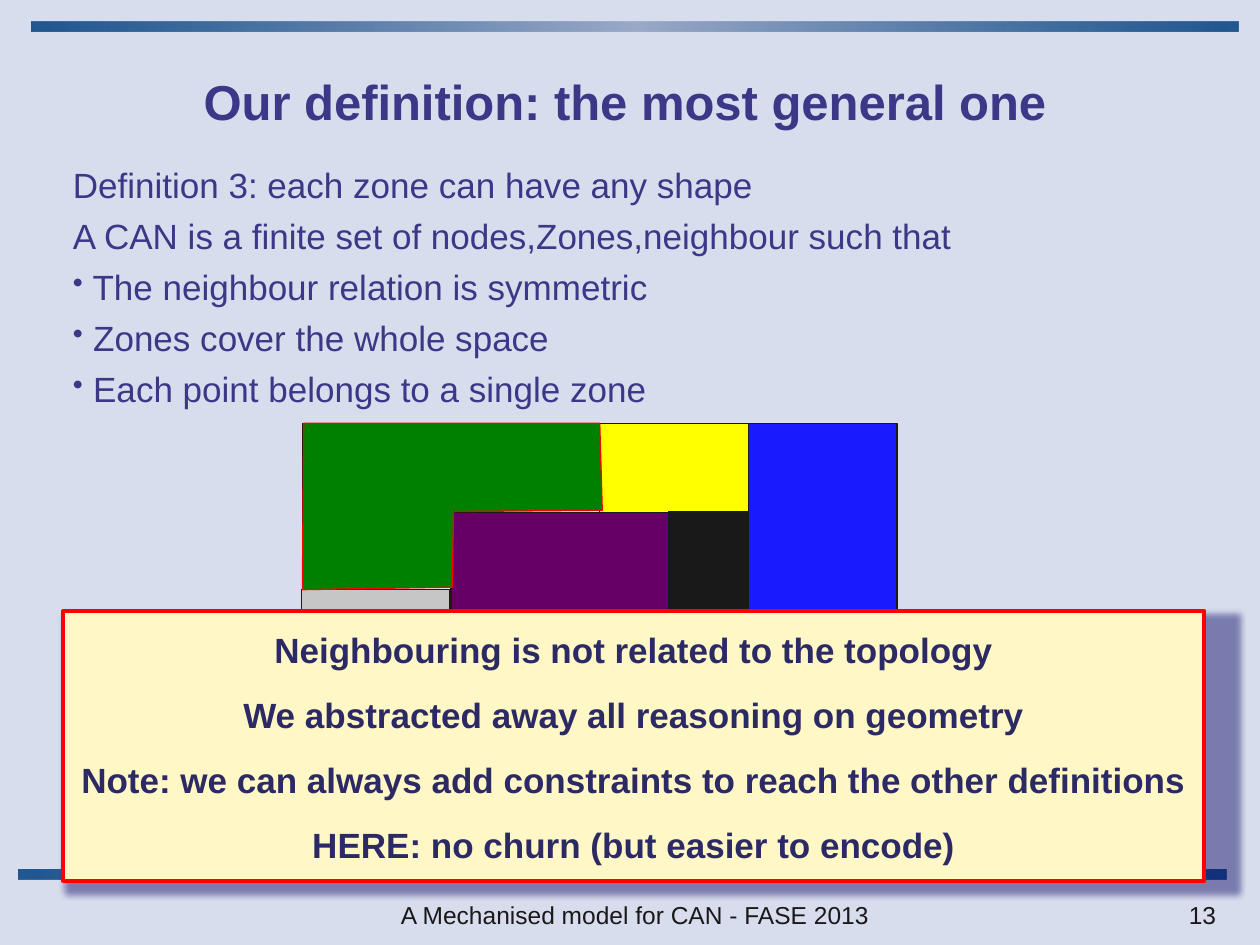
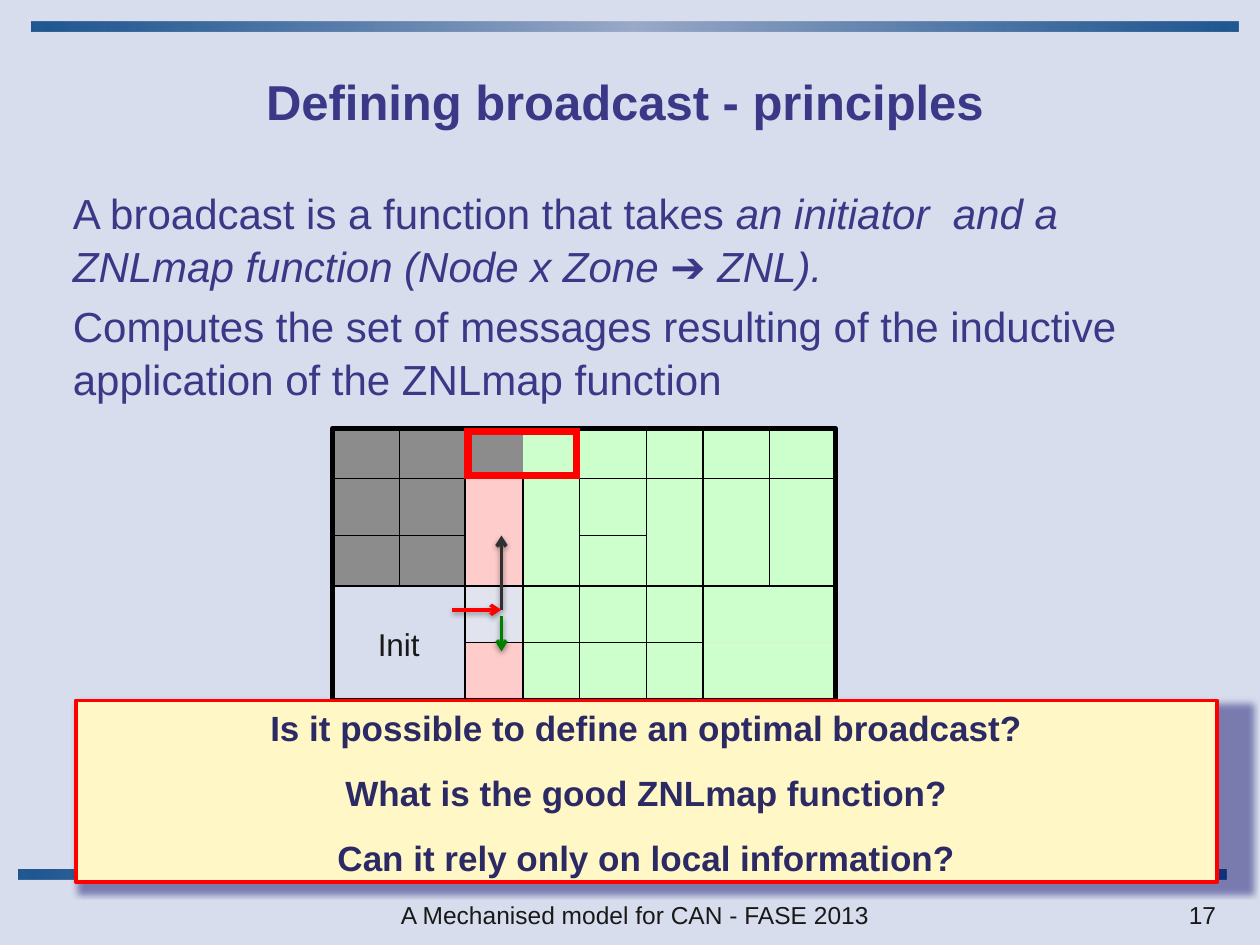
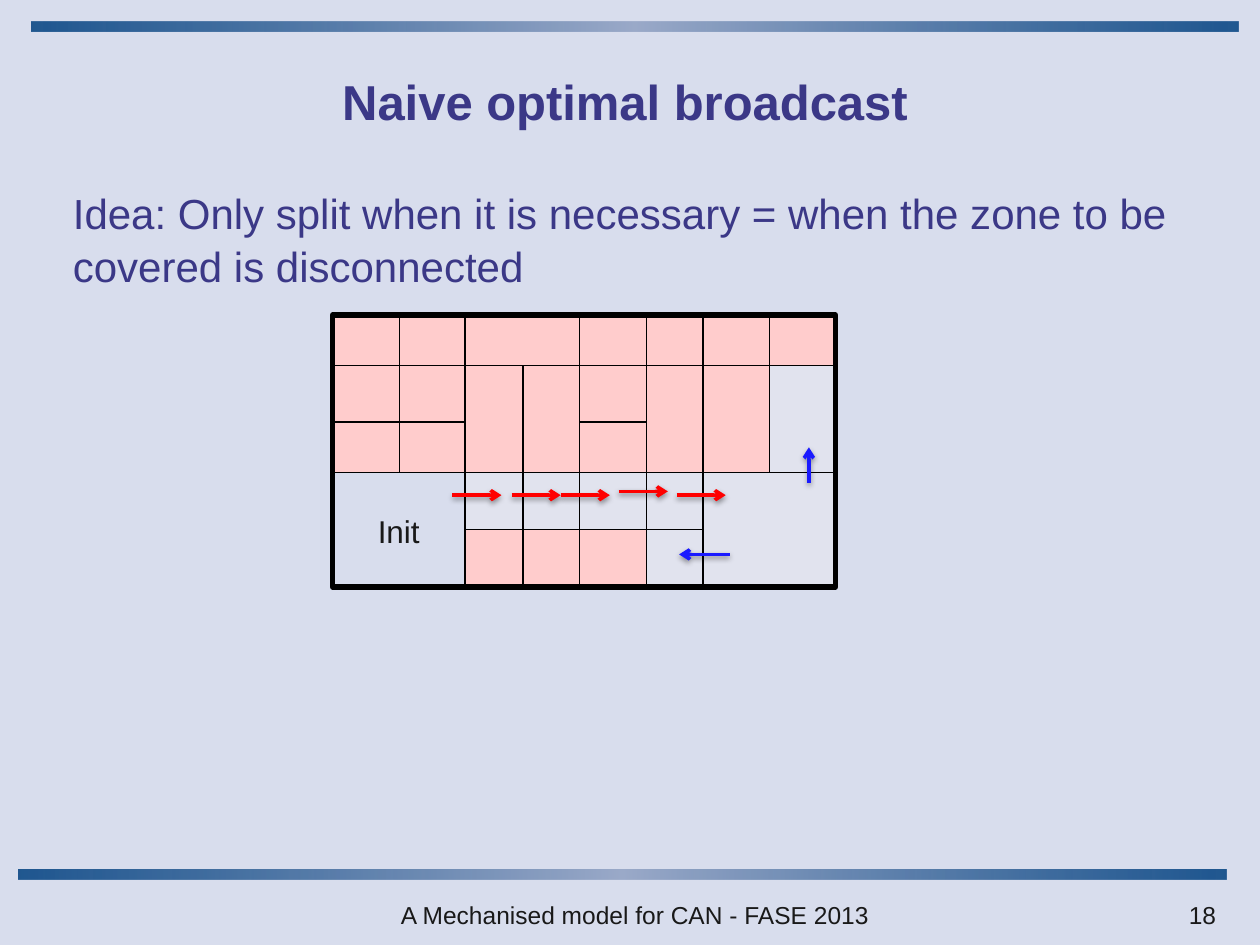
from dataclasses import dataclass

from lxml import etree
from pptx import Presentation
from pptx import util as u
from pptx.dml.color import RGBColor
from pptx.enum import shapes, text
from pptx.oxml import parse_xml
from pptx.oxml.ns import nsdecls, qn


@dataclass(frozen=True)
class Theme:
    font: str = "Arial"
    background: str = "D8DDED"
    band_edge: str = "004080"
    band_middle: str = "9BAAC9"
    heading: str = "3B3887"
    ink: str = "191919"
    callout_ink: str = "2C2A65"
    callout_fill: str = "FFF7C5"
    red: str = "FF0000"
    blue: str = "1A1AFF"
    green: str = "008000"
    charcoal: str = "303030"
    black: str = "000000"
    pending: str = "FFCCCC"
    reached: str = "E1E3EE"
    upper_area: str = "8C8C8C"
    lower_area: str = "CCFFCC"
    title_size: int = 28
    body_size: int = 24
    small_body_size: int = 20
    label_size: int = 18
    footer_size: int = 14
    line_spacing: float = 1.05


@dataclass(frozen=True)
class Shadow:
    color: str
    opacity: int
    blur: float
    distance: float
    angle: int
    scale: float = 100


THEME = Theme()
CALLOUT_SHADOW = Shadow("000060", 43, 4, 3, 45, 102.5)
ARROW_SHADOW = Shadow("000000", 38, 3.1, 1.6, 90)

COLUMNS = [2.64, 3.17, 3.69, 4.15, 4.6, 5.13, 5.58, 6.11, 6.63]
ROWS = [0, 0.4, 0.85, 1.25, 1.7, 2.16]
VERTICAL_BORDERS = [(1, 0, 3), (2, 0, 5), (3, 1, 5), (4, 0, 5), (5, 0, 5), (6, 0, 5), (7, 0, 3)]
HORIZONTAL_BORDERS = [(1, 0, 8), (2, 0, 2), (2, 4, 5), (3, 0, 8), (4, 2, 6)]


def rgb(color):
    return RGBColor.from_string(color)


def inches(values):
    return [u.Inches(value) for value in values]


def write(frame, lines, *, size, color, bold=False, align=text.PP_ALIGN.LEFT,
          before=0, after=0, bullet=None, wrap=True):
    frame.word_wrap = wrap
    for line in lines:
        paragraph = frame.paragraphs[-1]
        if paragraph.runs:
            paragraph = frame.add_paragraph()
        paragraph.alignment = align
        paragraph.line_spacing = THEME.line_spacing
        paragraph.space_before = u.Pt(before)
        paragraph.space_after = u.Pt(after)
        parts = (line,) if isinstance(line, str) else line
        for position, part in enumerate(parts):
            run = paragraph.add_run()
            run.text = part
            run.font.name = THEME.font
            run.font.size = u.Pt(size)
            run.font.bold = bold
            run.font.italic = position % 2 == 1
            run.font.color.rgb = rgb(color)
        if bullet:
            add_bullet(paragraph, bullet, color)


def add_bullet(paragraph, mark, color):
    properties = paragraph._p.get_or_add_pPr()
    properties.set("marL", "0")
    properties.set("indent", "0")
    tint = etree.SubElement(properties, qn("a:buClr"))
    etree.SubElement(tint, qn("a:srgbClr"), val=color)
    etree.SubElement(properties, qn("a:buSzPct"), val="85000")
    etree.SubElement(properties, qn("a:buChar"), char=mark)


def set_shadow(shape, shadow=None):
    properties = shape._element.spPr
    effects = properties.find(qn("a:effectLst"))
    if effects is None:
        effects = etree.SubElement(properties, qn("a:effectLst"))
    if shadow:
        scale = str(int(shadow.scale * 1000))
        outer = etree.SubElement(
            effects, qn("a:outerShdw"), blurRad=str(u.Pt(shadow.blur)),
            dist=str(u.Pt(shadow.distance)), dir=str(shadow.angle * 60000),
            sx=scale, sy=scale, algn="tl", rotWithShape="0")
        tint = etree.SubElement(outer, qn("a:srgbClr"), val=shadow.color)
        etree.SubElement(tint, qn("a:alpha"), val=str(shadow.opacity * 1000))


def paint(shape, fill=None, line=None, width=0.75):
    shape.shadow.inherit = False
    if fill:
        shape.fill.solid()
        shape.fill.fore_color.rgb = rgb(fill)
    else:
        shape.fill.background()
    if line:
        shape.line.color.rgb = rgb(line)
        shape.line.width = u.Pt(width)
    else:
        shape.line.fill.background()


def add_box(slide, at, fill=None, line=None, width=0.75, kind=shapes.MSO_SHAPE.RECTANGLE):
    box = slide.shapes.add_shape(kind, *inches(at))
    paint(box, fill, line, width)
    return box


def add_line(slide, start, end, color, width=0.75, arrow=False):
    line = slide.shapes.add_connector(shapes.MSO_CONNECTOR.STRAIGHT, *inches(start + end))
    line.line.color.rgb = rgb(color)
    line.line.width = u.Pt(width)
    if arrow:
        etree.SubElement(line._element.spPr.find(qn("a:ln")), qn("a:tailEnd"), type="arrow")
    set_shadow(line, ARROW_SHADOW if arrow else None)


def add_arrow(slide, start, end, color):
    add_line(slide, start, end, color, width=2, arrow=True)


def add_text(slide, at, lines, **form):
    frame = slide.shapes.add_textbox(*inches(at)).text_frame
    write(frame, lines, **form)
    return frame


def add_band(slide, left, top):
    band = slide.shapes.add_shape(shapes.MSO_SHAPE.RECTANGLE, *inches((left, top, 9.58, 0.08)))
    band.shadow.inherit = False
    band.line.fill.background()
    edge = f'<a:srgbClr val="{THEME.band_edge}"><a:alpha val="85000"/></a:srgbClr>'
    middle = f'<a:srgbClr val="{THEME.band_middle}"/>'
    stops = "".join(f'<a:gs pos="{position}">{color}</a:gs>'
                    for position, color in ((0, edge), (50000, middle), (100000, edge)))
    band._element.spPr.insert(2, parse_xml(
        f'<a:gradFill {nsdecls("a")}><a:gsLst>{stops}</a:gsLst><a:lin ang="0"/></a:gradFill>'))


def start_slide(deck, title, number):
    slide = deck.slides.add_slide(deck.slide_layouts[5])
    add_band(slide, 0.15, 6.9)
    add_band(slide, 0.25, 0.17)
    heading = slide.shapes.title
    heading.left, heading.top, heading.width, heading.height = inches((0.44, 0.33, 9.04, 0.92))
    heading.text_frame.vertical_anchor = text.MSO_ANCHOR.MIDDLE
    write(heading.text_frame, [title], size=THEME.title_size, color=THEME.heading,
          bold=True, align=text.PP_ALIGN.CENTER)
    footer = dict(size=THEME.footer_size, color=THEME.ink)
    add_text(slide, (7.92, 7.08, 1.83, 0.25), [str(number)], align=text.PP_ALIGN.RIGHT, **footer)
    add_text(slide, (2.5, 7.08, 5.08, 0.25), ["A Mechanised model for CAN - FASE 2013"],
             align=text.PP_ALIGN.CENTER, **footer)
    return slide


def add_body(slide, at, lines, size=THEME.body_size):
    return add_text(slide, at, lines, size=size, color=THEME.heading, before=4)


def add_callout(slide, at, lines):
    callout = add_box(slide, at, THEME.callout_fill, THEME.red, 2.25)
    set_shadow(callout, CALLOUT_SHADOW)
    callout.text_frame.vertical_anchor = text.MSO_ANCHOR.MIDDLE
    write(callout.text_frame, lines, size=THEME.small_body_size, color=THEME.callout_ink,
          bold=True, align=text.PP_ALIGN.CENTER, after=12)


def cell_range(top, first_column, first_row, last_column, last_row):
    left = COLUMNS[first_column]
    return (left, top + ROWS[first_row], COLUMNS[last_column] - left,
            ROWS[last_row] - ROWS[first_row])


def add_can_map(slide, top, areas):
    pending = [((0, 0, 2, 3), THEME.pending), ((2, 0, 8, 5), THEME.pending)]
    for cells, color in pending + areas:
        add_box(slide, cell_range(top, *cells), color)
    for column, first, last in VERTICAL_BORDERS:
        x = COLUMNS[column]
        add_line(slide, (x, top + ROWS[first]), (x, top + ROWS[last]), THEME.black)
    for row, first, last in HORIZONTAL_BORDERS:
        y = top + ROWS[row]
        add_line(slide, (COLUMNS[first], y), (COLUMNS[last], y), THEME.black)
    add_text(slide, (2.9, top + 1.5, 0.54, 0.4), ["Init"],
             size=THEME.label_size, color=THEME.ink, wrap=False)
    outline = add_box(slide, cell_range(top, 0, 0, 8, 5), line=THEME.black, width=3,
                      kind=shapes.MSO_SHAPE.ROUNDED_RECTANGLE)
    outline.adjustments[0] = 0


def add_free_zones(slide):
    zones = [
        ((2.4, 3.36, 1.18, 1.34), "E8E8E8"),
        ((3.58, 3.36, 1.18, 0.71), THEME.lower_area),
        ((4.76, 3.36, 1.18, 0.71), "FFFF00"),
        ((5.94, 3.36, 1.18, 2.91), THEME.blue),
        ((5.31, 4.06, 0.63, 0.94), THEME.ink),
        ((3.58, 4.07, 1.73, 0.94), "660066"),
        ((2.39, 4.68, 1.18, 0.94), "C6C6C6"),
    ]
    for at, color in zones:
        add_box(slide, at, color, THEME.ink)
    corners = [(2.41, 3.36), (2.4, 4.68), (3.59, 4.66), (3.6, 4.06), (4.78, 4.05), (4.76, 3.36)]
    start, *others = [inches(corner) for corner in corners]
    builder = slide.shapes.build_freeform(*start)
    builder.add_line_segments(others, close=True)
    paint(builder.convert_to_shape(), THEME.green, THEME.red)


def build_definition(deck):
    slide = start_slide(deck, "Our definition: the most general one", 13)
    definition = add_body(slide, (0.48, 1.23, 9.32, 4.46), [
        "Definition 3: each zone can have any shape",
        "A CAN is a finite set of nodes,Zones,neighbour such that",
    ], THEME.small_body_size)
    write(definition, [
        " The neighbour relation is symmetric",
        " Zones cover the whole space",
        " Each point belongs to a single zone",
    ], size=THEME.small_body_size, color=THEME.heading, before=4, bullet="•")
    add_free_zones(slide)
    add_callout(slide, (0.5, 4.85, 9.06, 2.14), [
        "Neighbouring is not related to the topology",
        "We abstracted away all reasoning on geometry",
        "Note: we can always add constraints to reach the other definitions",
        "HERE: no churn (but easier to encode)",
    ])


def build_principles(deck):
    slide = start_slide(deck, "Defining broadcast - principles", 17)
    add_body(slide, (0.48, 1.42, 9.02, 5), [
        ("A broadcast is a function that takes ",
         "an initiator  and a ZNLmap function (Node x Zone ➔ ZNL)."),
        "Computes the set of messages resulting of the inductive application "
        "of the ZNLmap function",
    ])
    top = 3.4
    add_can_map(slide, top, [
        ((2, 3, 3, 4), THEME.reached),
        ((3, 0, 8, 4), THEME.lower_area),
        ((3, 4, 8, 5), THEME.lower_area),
        ((0, 0, 2, 3), THEME.upper_area),
        ((1, 0, 3, 1), THEME.upper_area),
    ])
    add_box(slide, cell_range(top, 2, 0, 4, 1), THEME.red, THEME.red,
            kind=shapes.MSO_SHAPE.FRAME)
    add_arrow(slide, (3.98, 4.89), (3.98, 5.17), THEME.green)
    add_arrow(slide, (3.98, 4.84), (3.98, 4.25), THEME.charcoal)
    add_arrow(slide, (3.59, 4.84), (3.98, 4.84), THEME.red)
    add_callout(slide, (0.6, 5.56, 9.06, 1.44), [
        "Is it possible to define an optimal broadcast?",
        "What is the good ZNLmap function?",
        "Can it rely only on local information?",
    ])


def build_naive_broadcast(deck):
    slide = start_slide(deck, "Naive optimal broadcast", 18)
    add_body(slide, (0.48, 1.42, 9.02, 5), [
        "Idea: Only split when it is necessary = when the zone to be covered is disconnected",
    ])
    reached = [(2, 3, 3, 4), (3, 3, 4, 4), (4, 3, 5, 4), (5, 3, 6, 4),
               (6, 3, 8, 5), (7, 1, 8, 3), (5, 4, 6, 5)]
    add_can_map(slide, 2.5, [(cells, THEME.reached) for cells in reached])
    for x, y in [(3.59, 3.93), (4.06, 3.93), (4.45, 3.93), (4.91, 3.9), (5.37, 3.93)]:
        add_arrow(slide, (x, y), (x + 0.39, y), THEME.red)
    add_arrow(slide, (6.42, 3.83), (6.42, 3.55), THEME.blue)
    add_arrow(slide, (5.79, 4.4), (5.39, 4.4), THEME.blue)


def main():
    deck = Presentation()
    deck.slide_width, deck.slide_height = inches((10, 7.5))
    backdrop = deck.slide_master.background.fill
    backdrop.solid()
    backdrop.fore_color.rgb = rgb(THEME.background)
    build_definition(deck)
    build_principles(deck)
    build_naive_broadcast(deck)
    deck.save("out.pptx")


if __name__ == "__main__":
    main()
